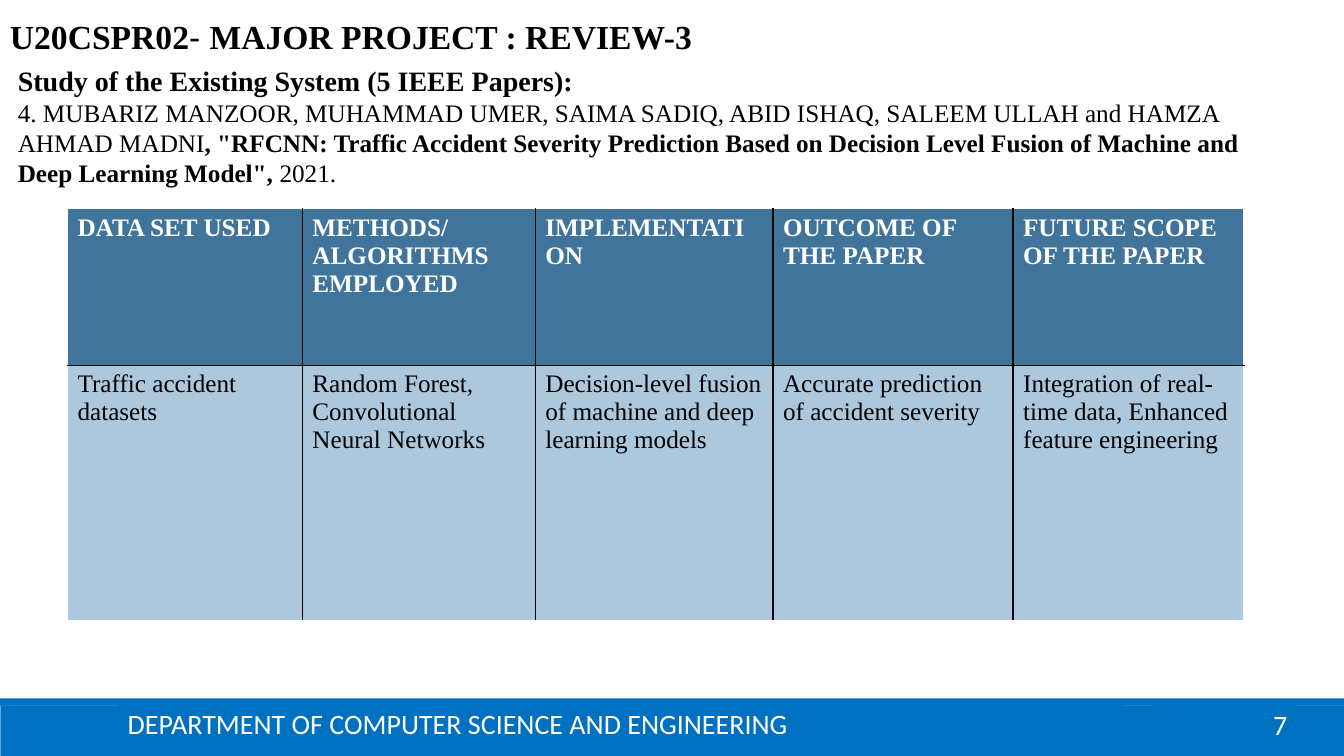
from lxml.etree import SubElement
from pptx import Presentation
from pptx.dml.color import RGBColor
from pptx.enum.shapes import MSO_SHAPE
from pptx.enum.text import MSO_ANCHOR, PP_ALIGN
from pptx.oxml.ns import qn
from pptx.util import Cm, Pt

BLUE = RGBColor(0x00, 0x70, 0xC0)
EDGE = RGBColor(0x5B, 0xA8, 0xE0)
STEEL = RGBColor(0x40, 0x74, 0x9B)
PALE = RGBColor(0xAD, 0xC8, 0xDD)
WHITE = RGBColor(0xFF, 0xFF, 0xFF)
BLACK = RGBColor(0x00, 0x00, 0x00)
SERIF = "Times New Roman"

HEADS = ["DATA SET USED", "METHODS/ ALGORITHMS EMPLOYED", "IMPLEMENTATION",
         "OUTCOME OF THE PAPER", "FUTURE SCOPE OF THE PAPER"]
FACTS = ["Traffic accident datasets",
         "Random Forest, Convolutional Neural Networks",
         "Decision-level fusion of machine and deep learning models",
         "Accurate prediction of accident severity",
         "Integration of real-time data, Enhanced feature engineering"]
WIDTHS = [5.92, 5.87, 5.99, 6.05, 5.82]
HEIGHTS = [3.94, 6.45]


def add_run(para, text, size, bold=False, color=BLACK, face=SERIF):
    run = para.add_run()
    run.text = text
    font = run.font
    font.size, font.bold, font.name = Pt(size), bold, face
    font.color.rgb = color


def add_bar(slide, left, top, width, height, edge=None):
    bar = slide.shapes.add_shape(MSO_SHAPE.RECTANGLE, Cm(left), Cm(top),
                                 Cm(width), Cm(height))
    bar.shadow.inherit = False
    bar.fill.solid()
    bar.fill.fore_color.rgb = BLUE
    if edge is None:
        bar.line.fill.background()
    else:
        bar.line.color.rgb = edge
        bar.line.width = Pt(0.5)
    return bar


def add_label(slide, text, align, *place):
    """Put white footer text on a blue bar."""
    frame = add_bar(slide, *place).text_frame
    frame.word_wrap = True
    frame.vertical_anchor = MSO_ANCHOR.MIDDLE
    para = frame.paragraphs[0]
    para.alignment = align
    add_run(para, text, 20, color=WHITE, face="Calibri")


def add_text(slide, left, top, width, height):
    box = slide.shapes.add_textbox(Cm(left), Cm(top), Cm(width), Cm(height))
    frame = box.text_frame
    frame.word_wrap = True
    frame.vertical_anchor = MSO_ANCHOR.MIDDLE
    return frame


def set_edge(cell, side, color):
    line = SubElement(cell._tc.get_or_add_tcPr(), qn(f"a:{side}"), w=str(Pt(1)))
    fill = SubElement(line, qn("a:solidFill"))
    SubElement(fill, qn("a:srgbClr"), val=str(color))


def add_grid(slide, rows, left, top):
    """Add the paper table: black inner rules and a white outer frame."""
    last_row, last_col = len(rows) - 1, len(WIDTHS) - 1
    table = slide.shapes.add_table(
        len(rows), len(WIDTHS), Cm(left), Cm(top),
        Cm(sum(WIDTHS)), Cm(sum(HEIGHTS))).table
    for col, width in zip(table.columns, WIDTHS):
        col.width = Cm(width)
    for r, texts in enumerate(rows):
        table.rows[r].height = Cm(HEIGHTS[r])
        head = r == 0
        for c, text in enumerate(texts):
            cell = table.cell(r, c)
            outer = {"lnL": c == 0, "lnR": c == last_col,
                     "lnT": head, "lnB": r == last_row}
            for side, out in outer.items():
                set_edge(cell, side, WHITE if out else BLACK)
            cell.fill.solid()
            cell.fill.fore_color.rgb = STEEL if head else PALE
            add_run(cell.text_frame.paragraphs[0], text, 18, head,
                    WHITE if head else BLACK)


def main():
    deck = Presentation()
    deck.slide_width, deck.slide_height = Cm(33.87), Cm(19.05)
    slide = deck.slides.add_slide(deck.slide_layouts[6])

    add_bar(slide, 0, 17.78, 33.87, 1.27, EDGE)
    add_bar(slide, 0, 17.6, 33.87, 0.18)
    add_label(slide, "7", PP_ALIGN.RIGHT, 29.06, 17.73, 3.63, 1.02)
    add_label(slide, "DEPARTMENT OF COMPUTER SCIENCE AND ENGINEERING",
              PP_ALIGN.LEFT, 2.97, 17.73, 25.37, 0.99)

    study = add_text(slide, 0.2, 1.45, 32.13, 3.43)
    add_run(study.paragraphs[0],
            "Study of the Existing System (5 IEEE Papers):", 20, True)
    paper = study.add_paragraph()
    add_run(paper, "4. MUBARIZ MANZOOR, MUHAMMAD UMER, SAIMA SADIQ, ABID ISHAQ, "
            "SALEEM ULLAH and HAMZA AHMAD MADNI", 18)
    add_run(paper, ', "RFCNN: Traffic Accident Severity Prediction Based on '
            'Decision Level Fusion of Machine and Deep Learning Model", ',
            18, True)
    add_run(paper, "2021.", 18)

    title = add_text(slide, 0, 0.28, 21.39, 1.27).paragraphs[0]
    add_run(title, "U20CSPR02", 24, True)
    add_run(title, "- ", 24, face="Arial")
    add_run(title, "MAJOR PROJECT : REVIEW-3", 24, True)

    add_grid(slide, [HEADS, FACTS], 1.7, 5.26)
    deck.save("out.pptx")


if __name__ == "__main__":
    main()
